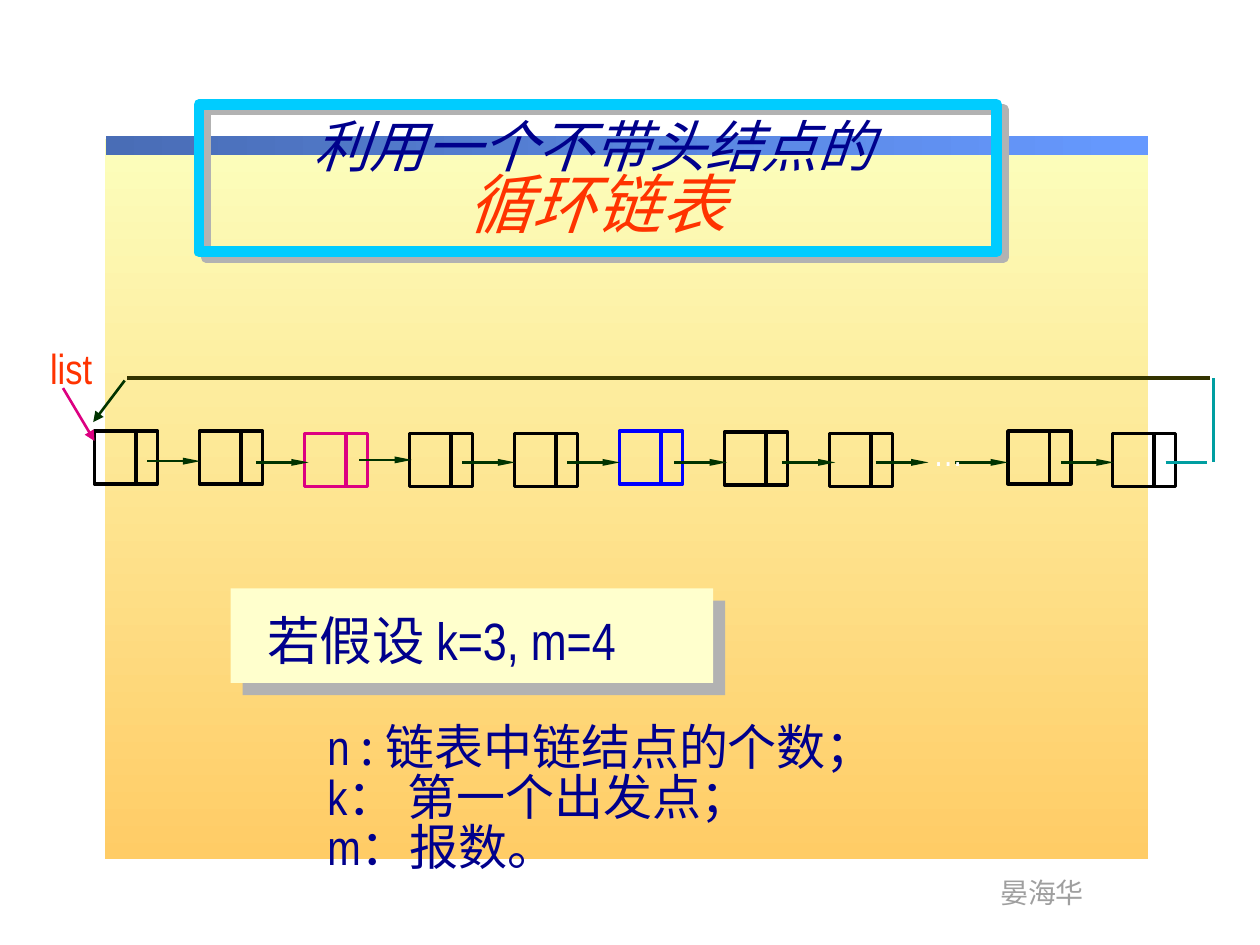
from lxml.etree import SubElement
from pptx import Presentation
from pptx.dml.color import RGBColor
from pptx.enum.shapes import MSO_CONNECTOR, MSO_SHAPE
from pptx.enum.text import PP_ALIGN
from pptx.oxml.ns import qn
from pptx.util import Inches, Pt

LATIN, CJK = "Arial Narrow", "Noto Sans CJK SC"
NAVY, RED, BLACK, PINK, BLUE = "00008C", "FF3300", "000000", "DC0081", "0000FF"
GREEN, OLIVE, TEAL, GREY = "003300", "333300", "009EA1", "B2B2B2"

# Panels: box, two gradient colours, gradient angle
PANELS = [
    ((0.83, 1.1, 8.28, 5.72), ("FCFEBC", "FFCC66"), 270),
    ((0.84, 1.08, 8.27, 0.15), ("496DB6", "6699FF"), 0),
]

# List nodes: left, top, colour
FIRST_LEFT, NODE_PITCH = 0.75, 5 / 6
NODE_TOPS = [3.42, 3.42, 3.44, 3.44, 3.44, 3.42, 3.43, 3.44]
NODE_COLORS = {2: PINK, 5: BLUE}
NODES = [(FIRST_LEFT + i * NODE_PITCH, top, NODE_COLORS.get(i, BLACK))
         for i, top in enumerate(NODE_TOPS)]
NODES += [(8, 3.42, BLACK), (8.83, 3.44, BLACK)]
DATA_WIDTH, LINK_WIDTH, NODE_HEIGHT = 0.33, 0.17, 0.42

# Links between nodes: left, height on the page
LINKS = [(1.17, 3.66), (2.03, 3.67), (2.85, 3.65), (3.67, 3.67), (4.5, 3.67),
         (5.35, 3.67), (6.21, 3.67), (6.95, 3.67), (7.58, 3.67), (8.42, 3.67)]
LINK_LENGTH = 0.42

# Return path: start, end, colour
RETURN_PATH = [
    ((1.01, 3), (9.6, 3), OLIVE),
    ((9.25, 3.67), (9.58, 3.67), TEAL),
    ((9.63, 3), (9.63, 3.67), TEAL),
]
POINTERS = [
    ((0.99, 3.02), (0.74, 3.35), GREEN),
    ((0.5, 3.08), (0.75, 3.5), PINK),
]

DEFINITIONS = [
    [("n ", LATIN), (": 链表中链结点的个数；", CJK)],
    [("k", LATIN), ("： 第一个出发点；", CJK)],
    [("m", LATIN), ("：报数。", CJK)],
]

deck = Presentation()
deck.slide_width, deck.slide_height = Inches(10), Inches(7.5)
page = deck.slides.add_slide(deck.slide_layouts[6])


def rgb(value):
    return RGBColor.from_string(value)


def add_shadow(properties, color, distance, angle):
    effects = properties.find(qn("a:effectLst"))
    if effects is None:
        effects = SubElement(properties, qn("a:effectLst"))
    shadow = SubElement(effects, qn("a:outerShdw"), blurRad="0",
                        dist=str(Pt(distance)), dir=str(angle * 60000),
                        algn="ctr", rotWithShape="0")
    SubElement(shadow, qn("a:srgbClr"), val=color)


def add_box(box, fill=None, line=None, width=2.0):
    shape = page.shapes.add_shape(MSO_SHAPE.RECTANGLE, *map(Inches, box))
    shape.shadow.inherit = False
    if fill:
        shape.fill.solid()
        shape.fill.fore_color.rgb = rgb(fill)
    else:
        shape.fill.background()
    if line:
        shape.line.color.rgb = rgb(line)
        shape.line.width = Pt(width)
    else:
        shape.line.fill.background()
    return shape


def add_line(start, end, color, width, head=None):
    line = page.shapes.add_connector(
        MSO_CONNECTOR.STRAIGHT, *map(Inches, (*start, *end)))
    line.line.color.rgb = rgb(color)
    line.line.width = Pt(width)
    if head:
        SubElement(line.line._get_or_add_ln(), qn("a:tailEnd"),
                   type="triangle", w=head[0], len=head[1])
    SubElement(line._element.spPr, qn("a:effectLst"))


def add_text(box, paragraphs, size, color, wrap=True, align=PP_ALIGN.LEFT,
             spacing=None, italic=None):
    frame = page.shapes.add_textbox(*map(Inches, box)).text_frame
    frame.word_wrap = wrap
    for index, spans in enumerate(paragraphs):
        para = frame.paragraphs[0] if index == 0 else frame.add_paragraph()
        para.alignment = align
        if spacing:
            para.line_spacing = spacing
        para.font.size = Pt(size)
        para.font.color.rgb = rgb(color)
        para.font.italic = italic
        if len(spans) == 1:
            para.font.name = spans[0][1]
        for text, font in spans:
            span = para.add_run()
            span.text = text
            if len(spans) > 1:
                span.font.name = font
    return frame


# Background panels and author
for box, colors, angle in PANELS:
    panel = add_box(box)
    panel.fill.gradient()
    panel.fill.gradient_angle = angle
    for stop, color in zip(panel.fill.gradient_stops, colors):
        stop.color.rgb = rgb(color)
add_text((7.84, 6.9, 0.87, 0.37), [[("晏海华", LATIN)]], 16, "9F9F9F", wrap=False)

# Assumption and definitions
card = add_box((1.83, 4.67, 3.83, 0.75), fill="FFFFCD")
add_shadow(card._element.spPr, GREY, 9.9, 45)
assumption = add_text((1.92, 4.78, 4.07, 0.6),
                      [[("若假设 k=3, m=4", LATIN)]], 30, NAVY)
assumption.margin_left = Inches(0.2)
add_text((2.5, 5.71, 4.92, 1.29), DEFINITIONS, 28, NAVY, spacing=0.85)

# Title in its frame
add_text((1.5, 0.92, 6.42, 0.55), [[("利用一个不带头结点的", CJK)]], 32, NAVY,
         align=PP_ALIGN.CENTER, spacing=0.85, italic=True)
border = add_box((1.58, 0.83, 6.33, 1.17), line="00CCFF", width=6.25)
add_shadow(border._element.spPr, GREY, 5, 37)
title = add_text((3.61, 1.25, 3.47, 0.72), [[("循环链表", CJK)]], 37, RED,
                 italic=True)
add_shadow(title.paragraphs[0].runs[0]._r.get_or_add_rPr(), BLACK, 2, 45)

# Circular list
for left, top, color in NODES:
    add_box((left, top, DATA_WIDTH, NODE_HEIGHT), line=color)
    add_box((left + DATA_WIDTH, top, LINK_WIDTH, NODE_HEIGHT), line=color)
for left, top in LINKS:
    add_line((left, top), (left + LINK_LENGTH, top), GREEN, 1.5, ("sm", "lg"))
add_text((7.28, 3.36, 0.49, 0.45), [[("…", LATIN)]], 21, "FFFFFF",
         wrap=False, align=PP_ALIGN.CENTER)
for start, end, color in RETURN_PATH:
    add_line(start, end, color, 1.75)
for start, end, color in POINTERS:
    add_line(start, end, color, 1.5, ("med", "med"))
add_text((0.25, 2.67, 0.63, 0.5), [[("list", LATIN)]], 24, RED,
         wrap=False, align=PP_ALIGN.CENTER)

deck.save("out.pptx")
